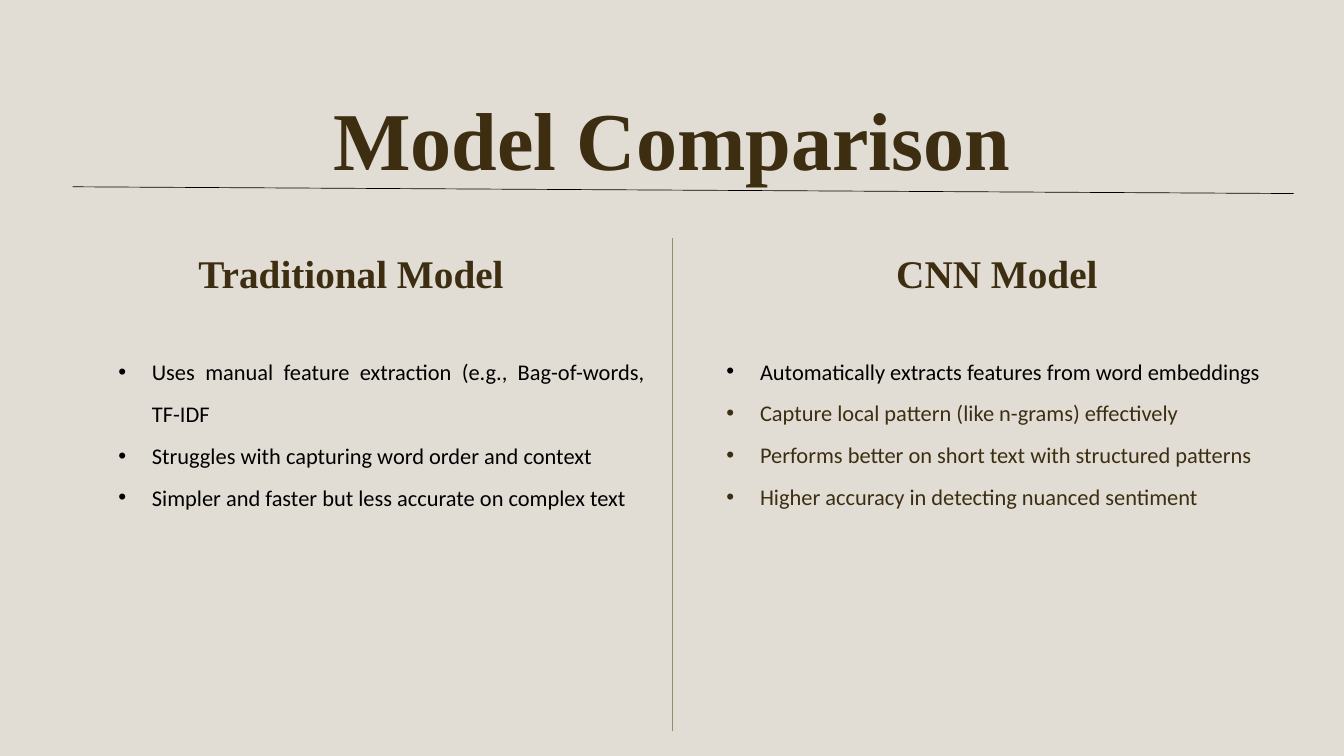
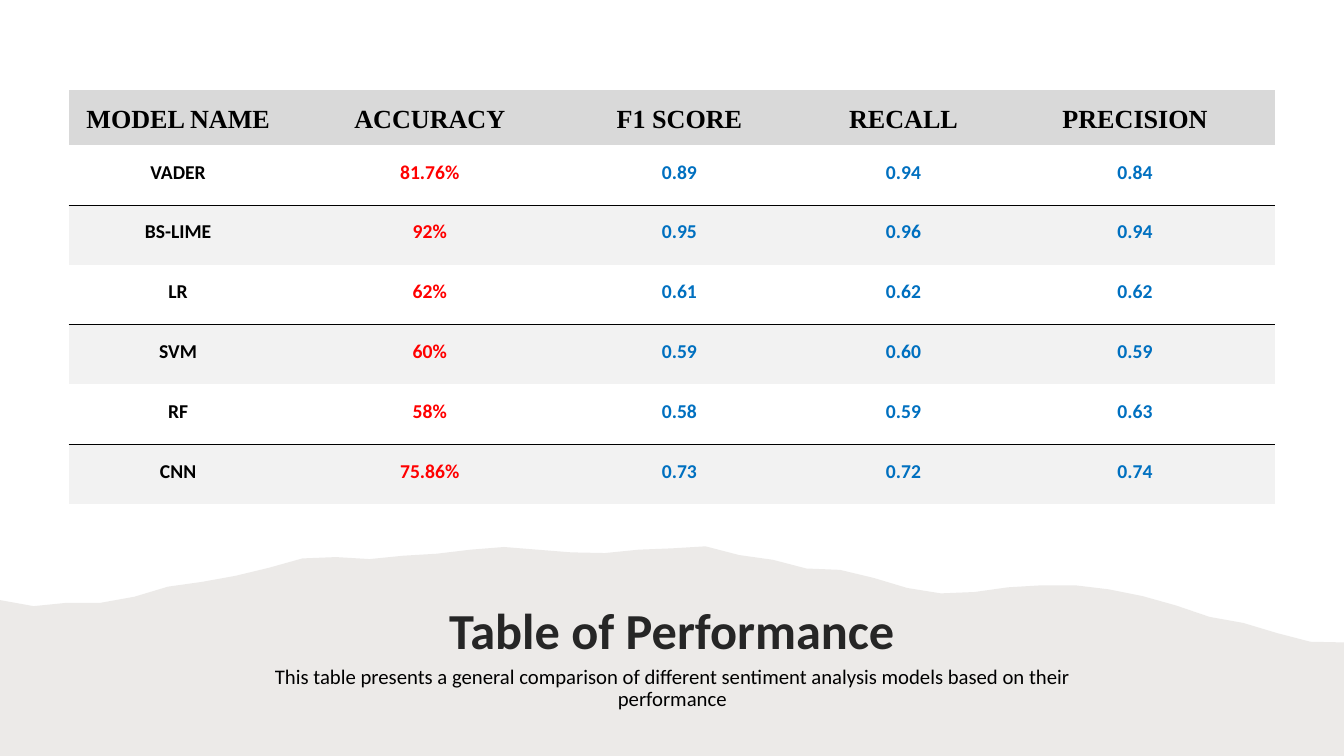
"""Build two slides: a model comparison and a table of model performance."""
from lxml.etree import SubElement
from pptx import Presentation
from pptx.dml.color import RGBColor as RGB
from pptx.enum.shapes import MSO_CONNECTOR as Connector
from pptx.enum.text import MSO_ANCHOR as Anchor, MSO_AUTO_SIZE as AutoSize, PP_ALIGN as Align
from pptx.oxml import parse_xml
from pptx.oxml.ns import nsdecls, qn
from pptx.util import Inches, Pt

COMPARISON_TITLE = "Model Comparison"
COMPARISON = [
    ("Traditional Model", [
        ("Uses manual feature extraction (e.g., Bag-of-words, TF-IDF", "black"),
        ("Struggles with capturing word order and context", "black"),
        ("Simpler and faster but less accurate on complex text", "black")]),
    ("CNN Model", [
        ("Automatically extracts features from word embeddings", "black"),
        ("Capture local pattern (like n-grams) effectively", "brown"),
        ("Performs better on short text with structured patterns", "brown"),
        ("Higher accuracy in detecting nuanced sentiment", "brown")]),
]
SCORES_TITLE = "Table of Performance"
SCORES_SUMMARY = ("This table presents a general comparison of different sentiment "
                  "analysis models based on their performance")
SCORES = [
    ("MODEL NAME", "ACCURACY", "F1 SCORE", "RECALL", "PRECISION"),
    ("VADER", "81.76%", "0.89", "0.94", "0.84"),
    ("BS-LIME", "92%", "0.95", "0.96", "0.94"),
    ("LR", "62%", "0.61", "0.62", "0.62"),
    ("SVM", "60%", "0.59", "0.60", "0.59"),
    ("RF", "58%", "0.58", "0.59", "0.63"),
    ("CNN", "75.86%", "0.73", "0.72", "0.74"),
]

COLORS = {
    "sand": "E1DDD5", "brown": "3D2E12", "divider": "988A71", "black": "000000",
    "white": "FFFFFF", "hill": "82766A", "title": "262626", "header": "D9D9D9",
    "band": "F2F2F2", "red": "FF0000", "blue": "0070C0",
}
SERIF, SANS = "Times New Roman", "Calibri"
STYLES = {
    "banner": dict(font=SERIF, size=88, bold=True, spacing=Pt(105.6)),
    "heading": dict(font=SERIF, size=42, bold=True, spacing=Pt(58.8)),
    "bullet": dict(font=SANS, size=24, align=Align.JUSTIFY, spacing=Pt(44.8)),
    "caption title": dict(font=SANS, size=54, bold=True, spacing=0.9),
    "caption": dict(font=SANS, size=22.2, spacing=0.9),
    "table header": dict(font=SERIF, size=28, bold=True, spacing=Pt(24)),
    "table body": dict(font=SANS, size=21, bold=True, spacing=Pt(28.8)),
}

WIDTH, HEIGHT = Inches(20), Inches(11.25)
HANG = Inches(0.5)
BOXES = {
    "banner": (13.25, 11.73, 73.45, 13.07),
    "headings": [(9.85, 31.91, 32.55, 7.02), (57.9, 31.91, 32.55, 7.02)],
    "lists": [(8.8, 45.42, 39.15, 21.87), (54.05, 45.33, 40.3, 21.87)],
    "caption title": (10.3, 76.98, 79.4, 10.76),
    "caption": (15.9, 87.73, 68.25, 4.89),
}
TITLE_RULE = (5.4, 24.71), (96.25, 25.6)
DIVIDER = (50, 31.47), (50, 96.71)

TABLE_CORNER = (5.1, 11.91)
COLUMN_WIDTHS = (3.64, 3.85, 3.58, 3.09, 3.8)
COLUMN_COLORS = ("black", "red", "blue", "blue", "blue")
HEADER_HEIGHT, ROW_HEIGHT = 0.82, 0.89
PLAIN_TABLE = "{2D5ABB26-0587-4C30-8999-92F81FD0307C}"

HILL_UNIT = Inches(0.01)
HILL_STEP = 50
HILL_TOPS = [
    893, 902, 897, 897, 888, 873, 866, 857, 845, 831, 829, 832, 827, 824,
    818, 814, 818, 822, 823, 818, 816, 813, 826, 833, 846, 848, 860, 875,
    883, 881, 874, 871, 871, 877, 887, 901, 918, 927, 942, 955, 956,
]


def rgb(name):
    return RGB.from_string(COLORS[name])


def paint(fill, color):
    fill.solid()
    fill.fore_color.rgb = rgb(color)


def share(x, y):
    """Turn percentages of the slide into lengths."""
    return int(WIDTH * x / 100), int(HEIGHT * y / 100)


def new_slide(prs, layout, background):
    s = prs.slides.add_slide(prs.slide_layouts.get_by_name(layout))
    paint(s.background.fill, background)
    return s


def frame(sp, box, anchor=Anchor.TOP, inset=(0, 0)):
    """Move a placeholder to its box and return its text frame."""
    sp.left, sp.top = share(*box[:2])
    sp.width, sp.height = share(*box[2:])
    tf = sp.text_frame
    tf.word_wrap, tf.auto_size, tf.vertical_anchor = True, AutoSize.NONE, anchor
    tf.margin_left = tf.margin_right = Inches(inset[0])
    tf.margin_top = tf.margin_bottom = Inches(inset[1])
    return tf


def write(p, text, style, color):
    look = STYLES[style]
    p.alignment = look.get("align", Align.CENTER)
    p.line_spacing = look["spacing"]
    p.space_before = p.space_after = Pt(0)
    r = p.add_run()
    r.text = text
    r.font.name, r.font.size = look["font"], Pt(look["size"])
    r.font.bold = look.get("bold", False)
    r.font.color.rgb = rgb(color)


def write_bullets(tf, points):
    for i, (text, color) in enumerate(points):
        p = tf.add_paragraph() if i else tf.paragraphs[0]
        pPr = p._p.get_or_add_pPr()
        pPr.set("marL", str(HANG))
        pPr.set("indent", str(-HANG))
        write(p, text, "bullet", color)


def add_rule(s, start, end, color):
    rule = s.shapes.add_connector(Connector.STRAIGHT, *share(*start), *share(*end))
    rule.line.color.rgb, rule.line.width = rgb(color), Pt(0.75)
    SubElement(rule._element.spPr, qn("a:effectLst"))


def add_comparison(prs):
    s = new_slide(prs, "Comparison", "sand")
    banner = frame(s.shapes.title, BOXES["banner"])
    write(banner.paragraphs[0], COMPARISON_TITLE, "banner", "brown")
    for i, (name, points) in enumerate(COMPARISON):
        heading = frame(s.placeholders[2 * i + 1], BOXES["headings"][i])
        write(heading.paragraphs[0], name, "heading", "brown")
        write_bullets(frame(s.placeholders[2 * i + 2], BOXES["lists"][i]), points)
    add_rule(s, *DIVIDER, "divider")
    add_rule(s, *TITLE_RULE, "black")


def add_hill(s):
    """Draw a ridge of evenly spaced heights, closed along the slide's foot."""
    ridge = [(i * HILL_STEP, top) for i, top in enumerate(HILL_TOPS)]
    right, foot = ridge[-1][0], HEIGHT // HILL_UNIT
    builder = s.shapes.build_freeform(*ridge[0], scale=HILL_UNIT)
    builder.add_line_segments(ridge[1:] + [(right, foot), (0, foot)], close=True)
    hill = builder.convert_to_shape()
    hill.shadow.inherit = False
    hill.line.fill.background()
    paint(hill.fill, "hill")
    tint = hill._element.spPr.find(".//" + qn("a:srgbClr"))
    SubElement(tint, qn("a:alpha"), val="15000")
    s.shapes._spTree.insert(2, hill._element)


def set_borders(cell, **sides):
    """Give each named side a black line, or none; the schema wants lnT first."""
    tcPr = cell._tc.get_or_add_tcPr()
    for i, (side, shown) in enumerate(sides.items()):
        paint_xml = (f'<a:solidFill><a:srgbClr val="{COLORS["black"]}"/></a:solidFill>'
                     if shown else "<a:noFill/>")
        tcPr.insert(i, parse_xml(
            f'<a:{side} {nsdecls("a")} w="{Pt(0.75)}">{paint_xml}</a:{side}>'))


def format_cell(cell, header, banded):
    cell.vertical_anchor = Anchor.BOTTOM if header else Anchor.MIDDLE
    cell.margin_left, cell.margin_right = 0, Inches(0.38)
    cell.margin_top = Inches(0.03 if header else 0.05)
    cell.margin_bottom = Inches(0.17)
    if header or banded:
        paint(cell.fill, "header" if header else "band")
    else:
        cell.fill.background()
    set_borders(cell, lnT=banded, lnB=not (header or banded))


def add_scores(s):
    heights = [HEADER_HEIGHT] + [ROW_HEIGHT] * (len(SCORES) - 1)
    table = s.shapes.add_table(len(heights), len(COLUMN_WIDTHS), *share(*TABLE_CORNER),
                               Inches(sum(COLUMN_WIDTHS)), Inches(sum(heights))).table
    table.first_row = table.horz_banding = False
    table._tbl.tblPr.find(qn("a:tableStyleId")).text = PLAIN_TABLE
    for column, width in zip(table.columns, COLUMN_WIDTHS):
        column.width = Inches(width)
    for i, (row, height, values) in enumerate(zip(table.rows, heights, SCORES)):
        row.height = Inches(height)
        header = i == 0
        banded = not header and i % 2 == 0
        style = "table header" if header else "table body"
        for cell, value, color in zip(row.cells, values, COLUMN_COLORS):
            format_cell(cell, header, banded)
            write(cell.text_frame.paragraphs[0], value, style, "black" if header else color)


def add_performance(prs):
    s = new_slide(prs, "Title Slide", "white")
    add_hill(s)
    inset = (0.1, 0.05)
    p = frame(s.shapes.title, BOXES["caption title"], Anchor.BOTTOM, inset).paragraphs[0]
    write(p, SCORES_TITLE, "caption title", "title")
    p.space_after = Pt(6)
    p = frame(s.placeholders[1], BOXES["caption"], inset=inset).paragraphs[0]
    write(p, SCORES_SUMMARY, "caption", "black")
    add_scores(s)


def main():
    prs = Presentation()
    prs.slide_width, prs.slide_height = WIDTH, HEIGHT
    add_comparison(prs)
    add_performance(prs)
    prs.save("out.pptx")


if __name__ == "__main__":
    main()
